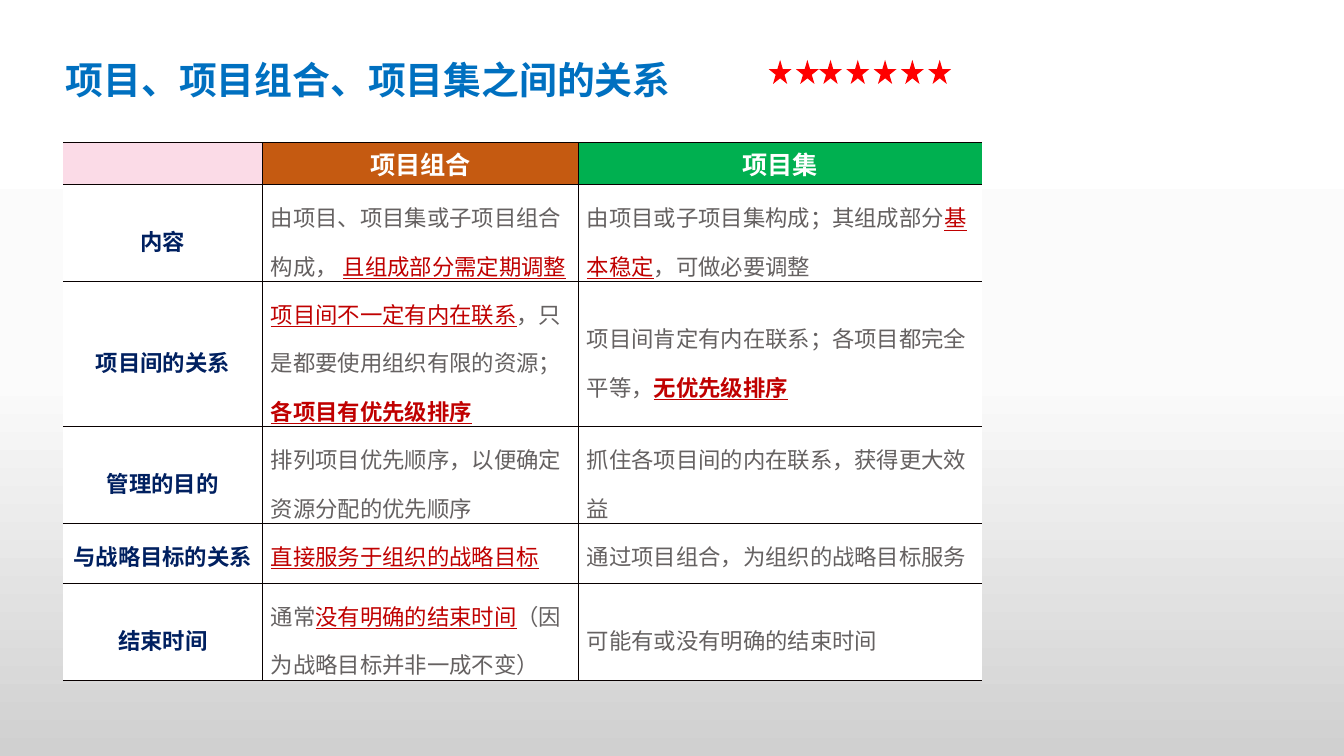
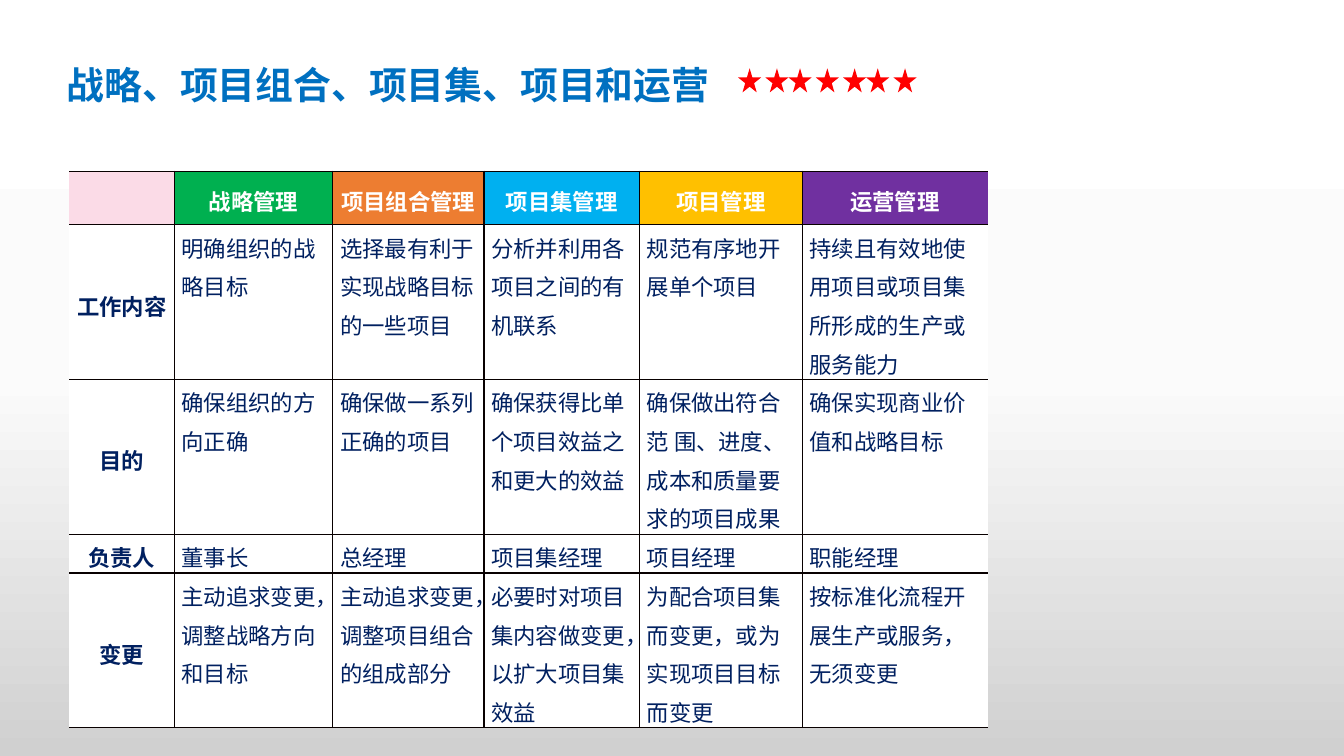
from copy import deepcopy

from pptx import Presentation
from pptx.dml.color import RGBColor
from pptx.enum.shapes import MSO_SHAPE
from pptx.enum.text import MSO_ANCHOR, MSO_AUTO_SIZE, PP_ALIGN
from pptx.oxml import parse_xml
from pptx.oxml.ns import nsdecls, qn
from pptx.util import Emu, Pt

PX = 9525
TITLE_ONLY = 5
STAR = MSO_SHAPE.STAR_5_POINT
MIDDLE, TOP = MSO_ANCHOR.MIDDLE, MSO_ANCHOR.TOP
CENTER, LEFT = PP_ALIGN.CENTER, PP_ALIGN.LEFT
NO_AUTOFIT = MSO_AUTO_SIZE.NONE

TITLE_FONT = "Cambria"
BODY_FONT = "Noto Sans CJK SC"
COLORS = {
    "title": "0070C0", "star": "FF0000", "line": "080000", "white": "FFFFFF",
    "pink": "FBDBE7", "brown": "C55A11", "green": "00B050", "orange": "ED7D31",
    "sky": "00B0F0", "gold": "FFC000", "purple": "7030A0",
    "navy": "002060", "gray": "656161", "red": "C00000",
    "bg_mid": "FBFBFB", "bg_end": "D0D0D0",
}
BACKGROUND = [(0, "white"), (0.5, "bg_mid"), (1, "bg_end")]
KEY = {"color": "red", "underline": True}
STRONG = {**KEY, "bold": True}

RELATION_ROWS = [
    ["", "项目组合", "项目集"],
    ["内容",
     [("由项目、项目集或子项目组合构成， ", {}), ("且组成部分需定期调整", KEY)],
     [("由项目或子项目集构成；其组成部分", {}), ("基 本稳定", KEY), ("，可做必要调整", {})]],
    ["项目间的关系",
     [("项目间不一定有内在联系", KEY), ("，只是都要使用组织有限的资源；", {}),
      ("各项目有优先级排序", STRONG)],
     [("项目间肯定有内在联系；各项目都完全 平等，", {}), ("无优先级排序", STRONG)]],
    ["管理的目的", "排列项目优先顺序，以便确定资源分配的优先顺序",
     "抓住各项目间的内在联系，获得更大效益"],
    ["与战略目标的关系", [("直接服务于组织的战略目标", KEY)],
     "通过项目组合，为组织的战略目标服务"],
    ["结束时间",
     [("通常", {}), ("没有明确的结束时间", KEY), ("（因为战略目标并非一成不变）", {})],
     "可能有或没有明确的结束时间"],
]

MANAGEMENT_ROWS = [
    ["", "战略管理", "项目组合管理", "项目集管理", "项目管理", "运营管理"],
    ["工作内容", "明确组织的战略目标", "选择最有利于 实现战略目标的一些项目",
     "分析并利用各项目之间的有机联系", "规范有序地开展单个项目",
     "持续且有效地使 用项目或项目集所形成的生产或服务能力"],
    ["目的", "确保组织的方向正确", "确保做一系列正确的项目",
     "确保获得比单个项目效益之和更大的效益",
     "确保做出符合范 围、进度、成本和质量要求的项目成果",
     "确保实现商业价 值和战略目标"],
    ["负责人", "董事长", "总经理", "项目集经理", "项目经理", "职能经理"],
    ["变更", "主动追求变更，调整战略方向和目标",
     "主动追求变更，调整项目组合的组成部分",
     "必要时对项目集内容做变更，以扩大项目集效益",
     "为配合项目集而变更，或为实现项目目标而变更",
     "按标准化流程开 展生产或服务，无须变更"],
]


def px(n):
    return Emu(n * PX)


def rgb(name):
    return RGBColor.from_string(COLORS[name])


def write(tf, content, align=LEFT, spacing=1.0, **base):
    runs = [(content, {})] if isinstance(content, str) else content
    p = tf.paragraphs[0]
    p.alignment = align
    p.line_spacing = spacing
    for text, extra in runs:
        style = {"font": BODY_FONT, "size": 16, "color": "navy",
                 "bold": False, "underline": False, **base, **extra}
        r = p.add_run()
        r.text = text
        r.font.name = style["font"]
        r.font.size = Pt(style["size"])
        r.font.bold = style["bold"]
        r.font.underline = style["underline"]
        r.font.color.rgb = rgb(style["color"])
        r.font._element.find(qn("a:latin")).addnext(
            parse_xml(f'<a:ea {nsdecls("a")} typeface="{BODY_FONT}"/>'))


def set_background(master):
    fill = master.background.fill
    fill.gradient()
    fill.gradient_angle = 270
    stops = next(master.element.iter(qn("a:gsLst")))
    for extra in list(stops)[2:]:
        stops.remove(extra)
    stops.insert(1, deepcopy(stops[0]))
    for stop, (position, color) in zip(fill.gradient_stops, BACKGROUND):
        stop.position = position
        stop.color.rgb = rgb(color)


def add_title(s, text, box):
    sp = s.shapes.title
    sp.left, sp.top, sp.width, sp.height = map(px, box)
    tf = sp.text_frame
    tf.word_wrap = True
    tf.auto_size = NO_AUTOFIT
    tf.vertical_anchor = MIDDLE
    write(tf, text, spacing=0.9, font=TITLE_FONT, size=27, color="title", bold=True)


def add_stars(s, left, top, groups):
    step, tighten = 26, 4
    for count in groups:
        for _ in range(count):
            sp = s.shapes.add_shape(STAR, px(left), px(top), px(22), px(23))
            sp.shadow.inherit = False
            sp.fill.solid()
            sp.fill.fore_color.rgb = rgb("star")
            sp.line.fill.background()
            left += step
        left -= tighten


def set_borders(cell, first, last):
    shown = {"lnL": not first, "lnR": not last, "lnT": True, "lnB": True}
    for i, (tag, visible) in enumerate(shown.items()):
        paint = (f'<a:solidFill><a:srgbClr val="{COLORS["line"]}"/></a:solidFill>'
                 if visible else "<a:noFill/>")
        cell._tc.get_or_add_tcPr().insert(i, parse_xml(
            f'<a:{tag} {nsdecls("a")} w="12700">{paint}</a:{tag}>'))


def add_grid(s, left, top, widths, heights, rows, fills, inset, header, body,
             anchor_swaps=()):
    frame = s.shapes.add_table(len(heights), len(widths), px(left), px(top),
                               px(sum(widths)), px(sum(heights)))
    table = frame.table
    table.first_row = table.horz_banding = False
    for col, width in zip(table.columns, widths):
        col.width = px(width)
    for row, height in zip(table.rows, heights):
        row.height = px(height)
    for i, row in enumerate(rows):
        for j, content in enumerate(row):
            cell = table.cell(i, j)
            cell.margin_left = cell.margin_right = px(inset)
            cell.margin_top = cell.margin_bottom = 0
            centered = i == 0 or j == 0
            middle = centered != ((i, j) in anchor_swaps)
            cell.vertical_anchor = MIDDLE if middle else TOP
            cell.fill.solid()
            cell.fill.fore_color.rgb = rgb(fills[j] if i == 0 else "white")
            set_borders(cell, j == 0, j == len(widths) - 1)
            if not content:
                continue
            style = header if i == 0 else body
            if j == 0:
                style = {**style, "color": "navy"}
            write(cell.text_frame, content, align=CENTER if centered else LEFT,
                  **{"bold": centered, **style})


def relation_slide(s):
    add_title(s, "项目、项目组合、项目集之间的关系", (53, 67, 892, 23))
    add_grid(s, 60, 136, [190, 301, 384], [40, 88, 124, 91, 57, 91],
             RELATION_ROWS, ["pink", "brown", "green"], 8,
             header={"size": 18, "color": "white"},
             body={"spacing": 1.5, "color": "gray"},
             anchor_swaps={(2, 2), (4, 0), (5, 2)})
    add_stars(s, 732, 57, (2, 5))


def management_slide(s):
    add_title(s, "战略、项目组合、项目集、项目和运营", (54, 53, 939, 60))
    add_stars(s, 703, 65, (2, 3, 2))
    add_grid(s, 66, 163, [100, 151, 144, 148, 155, 177], [51, 123, 123, 32, 123],
             MANAGEMENT_ROWS, ["pink", "green", "orange", "sky", "gold", "purple"], 7,
             header={"spacing": 1.2, "color": "white"},
             body={"spacing": 1.2})


def main():
    prs = Presentation()
    prs.slide_width, prs.slide_height = px(1280), px(720)
    set_background(prs.slide_master)
    for build in (relation_slide, management_slide):
        build(prs.slides.add_slide(prs.slide_layouts[TITLE_ONLY]))
    prs.save("out.pptx")


if __name__ == "__main__":
    main()
